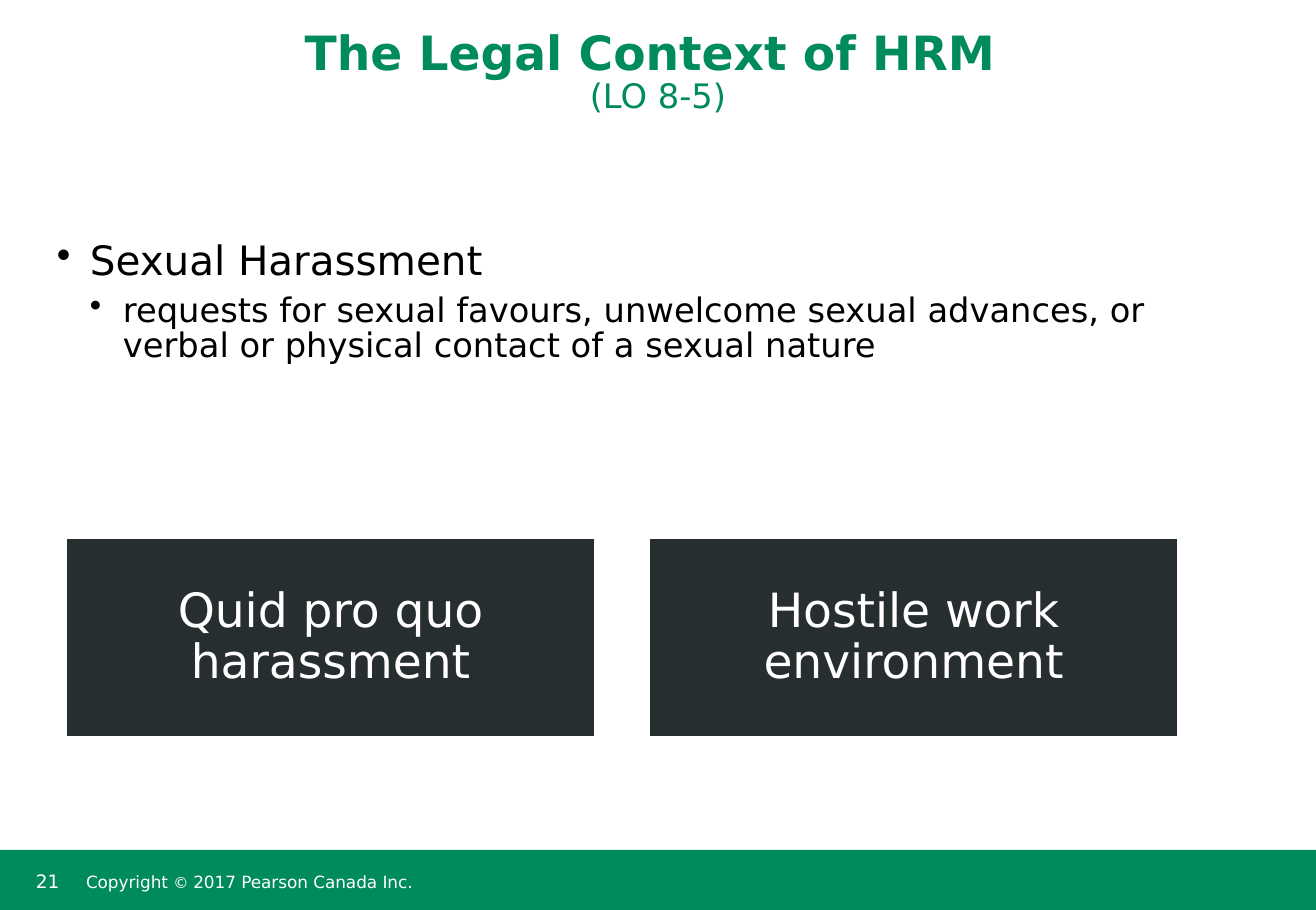
from lxml import etree
from pptx import Presentation, util as u
from pptx.dml.color import RGBColor
from pptx.enum import shapes, text
from pptx.oxml import ns

WIDTH, HEIGHT = 1316, 910
FONT = "DejaVu Sans"
GREEN, DARK, WHITE, BLACK = "008B5D", "272E30", "FFFFFF", "000000"

TITLE = [("The Legal Context of HRM ", 28, True), ("(LO 8-5)", 20, False)]
BULLETS = [
    ("Sexual Harassment", 24),
    ("requests for sexual favours, unwelcome sexual advances, "
     "or verbal or physical contact of a sexual nature", 20),
]
TYPES = ["Quid pro quo harassment", "Hostile work environment"]
PAGE = "21"
COPYRIGHT = [("Copyright ", 10), ("© ", 9), ("2017 Pearson Canada Inc.", 10)]

FOOTER_TOP = 850
BOX_LEFT, BOX_TOP, BOX_W, BOX_H, BOX_GAP = 66, 538, 529, 199, 54
INDENT = 33


def px(n):
    return u.Emu(round(n * 914400 / 121.3))


def rgb(color):
    return RGBColor.from_string(color)


def place(sp, left, top, width, height):
    sp.left, sp.top, sp.width, sp.height = map(px, (left, top, width, height))


def frame(sp, insets=(12, 6, 12, 6), anchor=text.MSO_ANCHOR.TOP):
    tf = sp.text_frame
    tf.word_wrap = True
    tf.auto_size = text.MSO_AUTO_SIZE.NONE
    tf.vertical_anchor = anchor
    (tf.margin_left, tf.margin_top,
     tf.margin_right, tf.margin_bottom) = map(px, insets)
    return tf


def spacing(p, line=1.0, after=0, align=text.PP_ALIGN.LEFT):
    p.alignment = align
    p.line_spacing = line
    p.space_before = u.Pt(0)
    p.space_after = u.Pt(after)


def add_run(p, words, size, color, bold=False):
    r = p.add_run()
    r.text = words
    r.font.name, r.font.size, r.font.bold = FONT, u.Pt(size), bold
    r.font.color.rgb = rgb(color)


def add_bullet(p, level):
    p.level = level
    ppr = p._p.get_or_add_pPr()
    ppr.set("marL", str(px(INDENT * (level + 1))))
    ppr.set("indent", str(-px(INDENT)))
    etree.SubElement(ppr, ns.qn("a:buChar")).set("char", "•")


def add_rect(s, left, top, width, height, fill, line=None):
    sp = s.shapes.add_shape(shapes.MSO_SHAPE.RECTANGLE,
                            *map(px, (left, top, width, height)))
    sp.shadow.inherit = False
    sp.fill.solid()
    sp.fill.fore_color.rgb = rgb(fill)
    if line:
        sp.line.color.rgb = rgb(line)
        sp.line.width = u.Pt(1)
    else:
        sp.line.fill.background()
    return sp


def add_textbox(s, left, top, width, height):
    return s.shapes.add_textbox(*map(px, (left, top, width, height)))


def add_footer(s):
    add_rect(s, 0, FOOTER_TOP, WIDTH, HEIGHT - FOOTER_TOP, GREEN)
    p = frame(add_textbox(s, 24, 864, 57, 39)).paragraphs[0]
    add_run(p, PAGE, 11, WHITE)
    box = add_textbox(s, 80, FOOTER_TOP, 701, HEIGHT - FOOTER_TOP)
    p = frame(box, (6, 12, 6, 6), text.MSO_ANCHOR.MIDDLE).paragraphs[0]
    spacing(p, 0.85)
    for words, size in COPYRIGHT:
        add_run(p, words, size, WHITE)


def add_title(s):
    title = s.shapes.title
    place(title, 0, 0, WIDTH, 121)
    p = frame(title, anchor=text.MSO_ANCHOR.BOTTOM).paragraphs[0]
    spacing(p, 0.85, 6.5, text.PP_ALIGN.CENTER)
    for i, (words, size, bold) in enumerate(TITLE):
        if i:
            p.add_line_break()
        add_run(p, words, size, GREEN, bold)


def add_bullets(s):
    tf = frame(add_textbox(s, 45, 237, 1207, 177))
    for level, (words, size) in enumerate(BULLETS):
        p = tf.add_paragraph() if level else tf.paragraphs[0]
        add_bullet(p, level)
        spacing(p, 0.85, 6.5)
        add_run(p, words, size, BLACK)


def add_types(s):
    for i, words in enumerate(TYPES):
        left = BOX_LEFT + i * (BOX_W + BOX_GAP)
        sp = add_rect(s, left, BOX_TOP, BOX_W, BOX_H, DARK, WHITE)
        p = frame(sp, (23,) * 4, text.MSO_ANCHOR.MIDDLE).paragraphs[0]
        spacing(p, 0.9, 12.2, text.PP_ALIGN.CENTER)
        add_run(p, words, 28, WHITE)


def main():
    prs = Presentation()
    prs.slide_width, prs.slide_height = px(WIDTH), px(HEIGHT)
    s = prs.slides.add_slide(prs.slide_layouts[5])
    add_footer(s)
    add_title(s)
    add_bullets(s)
    add_types(s)
    prs.save("out.pptx")


if __name__ == "__main__":
    main()
